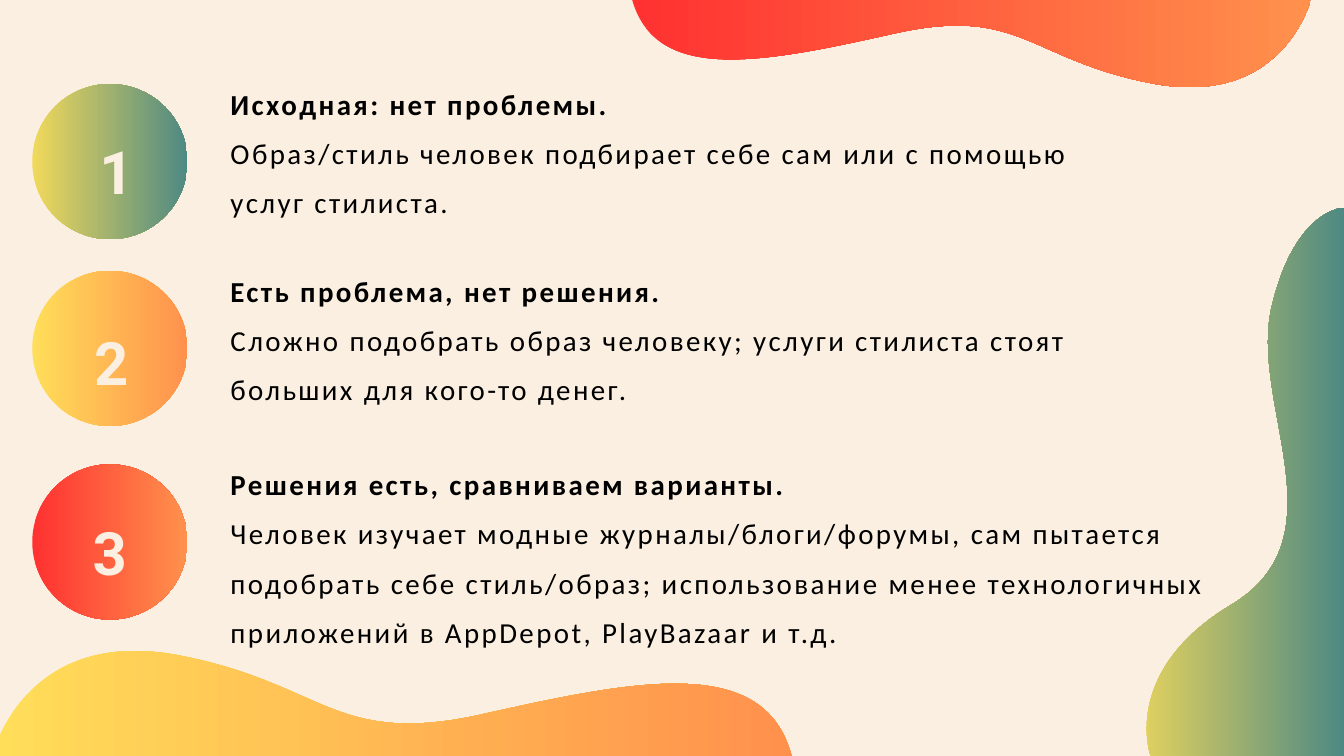
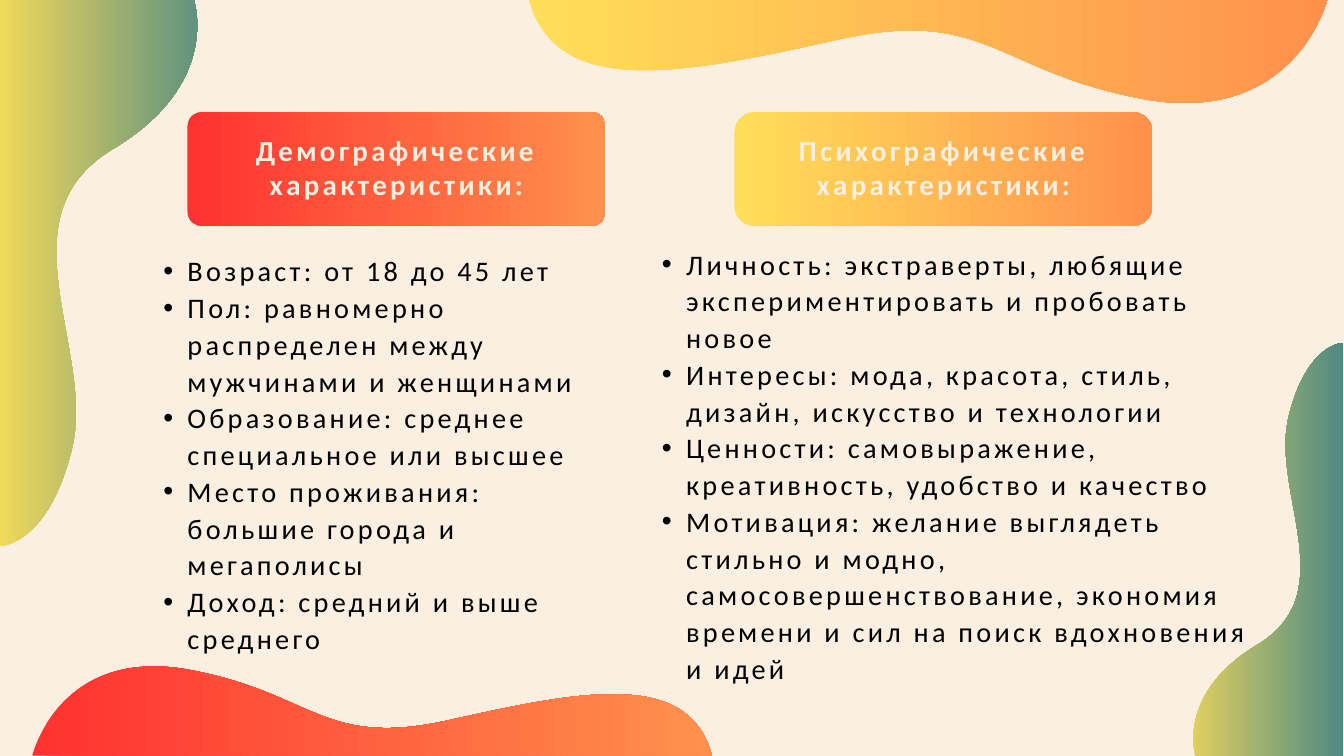
from pptx import Presentation
from pptx.dml.color import RGBColor
from pptx.enum.shapes import MSO_SHAPE as Preset
from pptx.enum.text import MSO_ANCHOR as Anchor, PP_ALIGN as Align
from pptx.oxml.ns import qn
from pptx.util import Inches, Pt
from lxml.etree import SubElement

COLORS = {"cream": "FAEFE0", "black": "000000", "lime": "F1D95B", "teal": "4E8983",
          "yellow": "FFDE59", "orange": "FF914D", "red": "FF3131"}
MEADOW, SUN, FIRE = ("lime", "teal"), ("yellow", "orange"), ("red", "orange")

SIDE_WAVE = {"size": (3.33, 8.16), "start": (0, 0), "curves": [
    [(0, 0), (0, 8.16), (0, 8.16)],
    [(0, 8.16), (0.72, 8.15), (1.07, 6.71)],
    [(1.43, 5.26), (0, 3.27), (1.66, 2.26)],
    [(3.33, 1.27), (2.88, 0.01), (2.88, 0.01)]]}
CREST = {"size": (11.9, 1.9), "start": (0, 1.9), "curves": [
    [(0, 1.9), (0.46, 0), (2.71, 0.39)],
    [(4.96, 0.8), (5.07, 1.79), (7.34, 1.27)],
    [(9.62, 0.76), (11.5, 0.39), (11.9, 1.9)]]}

STAGE_WAVES = [(SIDE_WAVE, 16.67, 3.09, 1, True, MEADOW),
               (CREST, -0.12, 9.35, 1, False, SUN),
               (CREST, 9.4, -0.03, 0.85, True, FIRE)]
AUDIENCE_WAVES = [(SIDE_WAVE, 0, -0.03, 1, False, MEADOW),
                  (CREST, 7.86, -0.03, 1, True, SUN),
                  (SIDE_WAVE, 17.46, 5.1, 0.76, True, MEADOW),
                  (CREST, 0.48, 9.63, 0.85, False, FIRE)]

STAGES = [
    {"top": 1.25, "colors": MEADOW, "width": 13.55, "height": 2.15, "number": (1.48, 1.46, 0.32),
     "head": "Исходная: нет проблемы.",
     "body": "Образ/стиль человек подбирает себе сам или с помощью услуг стилиста."},
    {"top": 4.03, "colors": SUN, "width": 12.76, "height": 2.15, "number": (1.4, 4.29, 0.48),
     "head": "Есть проблема, нет решения.",
     "body": "Сложно подобрать образ человеку; услуги стилиста стоят больших для кого-то денег."},
    {"top": 6.91, "colors": FIRE, "width": 14.9, "height": 2.88, "number": (1.38, 7.12, 0.5),
     "head": "Решения есть, сравниваем варианты.",
     "body": "Человек изучает модные журналы/блоги/форумы, сам пытается подобрать себе стиль/образ; "
             "использование менее технологичных приложений в AppDepot, PlayBazaar и т.д."},
]
TRAITS = [
    {"left": 2.79, "colors": FIRE, "corner": 0.12, "list": (2.07, 3.73, 6.94, 5.96),
     "head": "Демографические характеристики:",
     "items": ["Возраст: от 18 до 45 лет",
               "Пол: равномерно распределен между мужчинами и женщинами",
               "Образование: среднее специальное или высшее",
               "Место проживания: большие города и мегаполисы",
               "Доход: средний и выше среднего"]},
    {"left": 10.93, "colors": SUN, "corner": 0.17, "list": (9.49, 3.63, 9.39, 6.5),
     "head": "Психографические характеристики:",
     "items": ["Личность: экстраверты, любящие экспериментировать и пробовать новое",
               "Интересы: мода, красота, стиль, дизайн, искусство и технологии",
               "Ценности: самовыражение, креативность, удобство и качество",
               "Мотивация: желание выглядеть стильно и модно, самосовершенствование, "
               "экономия времени и сил на поиск вдохновения и идей"]},
]

STAGE_BODY = {"font": {"name": "Calibri", "size": Pt(31), "bold": False},
              "color": "black", "leading": 52.7, "spacing": 2.6}
STAGE_HEAD = {**STAGE_BODY, "font": {**STAGE_BODY["font"], "bold": True}}
NUMBER = {"font": {"name": "Roboto", "size": Pt(64), "bold": True},
          "color": "cream", "leading": 116.5, "spacing": 0}
BANNER = {"font": STAGE_HEAD["font"], "color": "cream", "leading": 37.2, "spacing": 3.6}
TRAIT = {"font": {"name": "Calibri", "size": Pt(30.3), "bold": False},
         "color": "black", "leading": 39.4, "spacing": 3.5}


def color(name):
    return RGBColor.from_string(COLORS[name])


def set_all(target, values):
    for name, value in values.items():
        setattr(target, name, value)


def paint(shape, colors):
    shape.shadow.inherit = False
    shape.line.fill.background()
    shape.fill.gradient()
    shape.fill.gradient_angle = 0
    for stop, name in zip(shape.fill.gradient_stops, colors):
        stop.color.rgb = color(name)


def add_wave(page, wave, left, top, scale, turned, colors):
    width, height = (Inches(side * scale) for side in wave["size"])
    builder = page.shapes.build_freeform(Inches(left), Inches(top))
    builder.add_line_segments([(Inches(left) + x, Inches(top) + y)
                               for x, y in ((width, 0), (width, height), (0, height))])
    shape = builder.convert_to_shape()
    paint(shape, colors)
    outline = next(shape.element.iter(qn("a:path")))
    for child in list(outline):
        outline.remove(child)

    def add_step(tag, points):
        step = SubElement(outline, qn(tag))
        for point in points:
            x, y = (Inches(value * scale) for value in point)
            if turned:
                x, y = width - x, height - y
            SubElement(step, qn("a:pt"), x=str(x), y=str(y))

    add_step("a:moveTo", [wave["start"]])
    for curve in wave["curves"]:
        add_step("a:cubicBezTo", curve)
    SubElement(outline, qn("a:close"))


def add_preset(page, preset, place, colors):
    shape = page.shapes.add_shape(preset, *map(Inches, place))
    paint(shape, colors)
    return shape


def write(frame, lines, align=Align.LEFT, bullet=None, **margins):
    frame.word_wrap = True
    insets = {side: 0 for side in ("left", "top", "right", "bottom")}
    insets.update(margins)
    set_all(frame, {f"margin_{side}": Inches(inset) for side, inset in insets.items()})
    for index, (text, style) in enumerate(lines):
        para = frame.add_paragraph() if index else frame.paragraphs[0]
        set_all(para, {"alignment": align, "line_spacing": Pt(style["leading"])})
        if bullet:
            props = para._p.get_or_add_pPr()
            props.set("marL", str(Inches(0.72)))
            props.set("indent", str(Inches(-0.36)))
            SubElement(props, qn("a:buFont"), typeface="Arial")
            SubElement(props, qn("a:buChar"), char=bullet)
        span = para.add_run()
        span.text = text
        set_all(span.font, style["font"])
        span.font.color.rgb = color(style["color"])
        span._r.get_or_add_rPr().set("spc", str(round(style["spacing"] * 100)))


def add_text(page, place, lines, **options):
    box = page.shapes.add_textbox(*map(Inches, place))
    write(box.text_frame, lines, **options)


def add_page(deck, waves):
    page = deck.slides.add_slide(deck.slide_layouts[6])
    page.background.fill.solid()
    page.background.fill.fore_color.rgb = color("cream")
    for wave in waves:
        add_wave(page, *wave)
    return page


def build_stages(deck):
    page = add_page(deck, STAGE_WAVES)
    for number, stage in enumerate(STAGES, 1):
        add_text(page, (3.43, stage["top"] - 0.18, stage["width"], stage["height"]),
                 [(stage["head"], STAGE_HEAD), (stage["body"], STAGE_BODY)])
        add_preset(page, Preset.OVAL, (0.48, stage["top"], 2.31, 2.31), stage["colors"])
        add_text(page, (*stage["number"], 1.48), [(str(number), NUMBER)])


def build_audience(deck):
    page = add_page(deck, AUDIENCE_WAVES)
    for trait in TRAITS:
        banner = add_preset(page, Preset.ROUNDED_RECTANGLE,
                            (trait["left"], 1.67, 6.22, 1.69), trait["colors"])
        banner.adjustments[0] = trait["corner"]
        banner.text_frame.vertical_anchor = Anchor.MIDDLE
        write(banner.text_frame, [(trait["head"], BANNER)], Align.CENTER,
              left=0.06, top=0.06, right=0.06, bottom=0.12)
        add_text(page, trait["list"], [(item, TRAIT) for item in trait["items"]], bullet="•")


def main():
    deck = Presentation()
    set_all(deck, {"slide_width": Inches(20), "slide_height": Inches(11.25)})
    build_stages(deck)
    build_audience(deck)
    deck.save("out.pptx")


if __name__ == "__main__":
    main()
